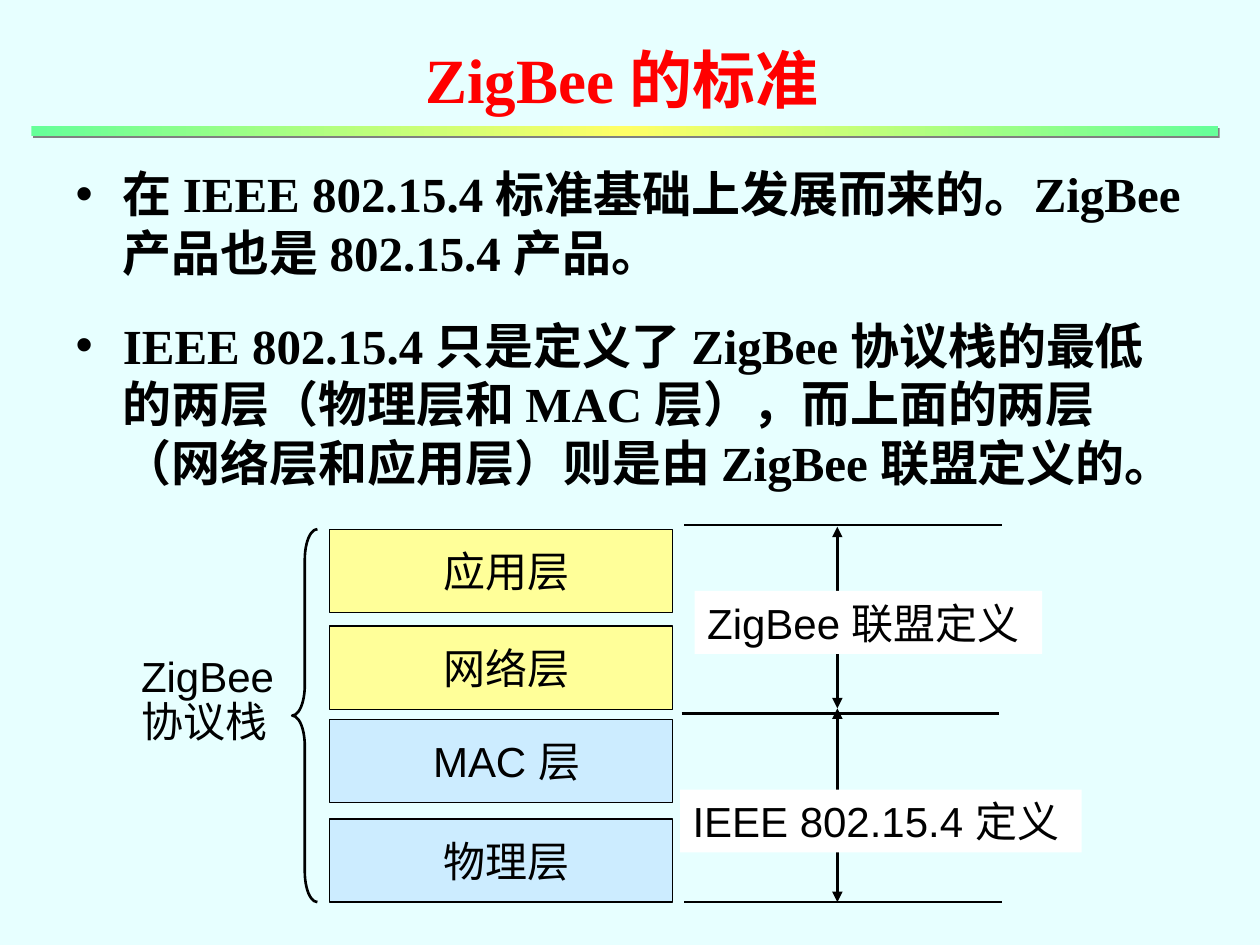
from lxml import etree
from pptx import Presentation
from pptx.dml.color import RGBColor
from pptx.enum.shapes import MSO_CONNECTOR, MSO_SHAPE
from pptx.enum.text import MSO_ANCHOR, MSO_AUTO_SIZE, PP_ALIGN
from pptx.oxml import parse_xml
from pptx.oxml.ns import nsdecls, qn
from pptx.util import Pt

LEFT, CENTER = PP_ALIGN.LEFT, PP_ALIGN.CENTER
MIDDLE, NO_AUTOFIT = MSO_ANCHOR.MIDDLE, MSO_AUTO_SIZE.NONE
RECTANGLE, LEFT_BRACE = MSO_SHAPE.RECTANGLE, MSO_SHAPE.LEFT_BRACE
STRAIGHT = MSO_CONNECTOR.STRAIGHT


def rgb(color):
    return RGBColor.from_string(color)


def write(frame, text, size=24, font="Arial", color="000000", bold=False,
          align=LEFT, spacing=None, gap=0, wrap=False):
    """Fill a text frame, one paragraph per line of text, gap points apart."""
    frame.word_wrap = wrap
    frame.auto_size = NO_AUTOFIT
    frame.text = text
    for number, paragraph in enumerate(frame.paragraphs):
        paragraph.alignment = align
        paragraph.line_spacing = spacing
        paragraph.space_before = Pt(gap if number else 0)
        for run in paragraph.runs:
            run.font.size = Pt(size)
            run.font.name = font
            run.font.bold = bold
            run.font.color.rgb = rgb(color)


prs = Presentation()
prs.slide_width, prs.slide_height = Pt(720), Pt(540)
slide = prs.slides.add_slide(prs.slide_layouts[1])
slide.background.fill.solid()
slide.background.fill.fore_color.rgb = rgb("E7FFFF")
shapes = slide.shapes

# Title and bullets
title, body = slide.placeholders
title.left, title.top, title.width, title.height = Pt(49.5), Pt(11.5), Pt(612), Pt(66)
write(title.text_frame, "ZigBee 的标准", size=36, font="Times New Roman",
      color="FF0000", bold=True, align=CENTER, wrap=True)
title.text_frame.vertical_anchor = MIDDLE

body.left, body.top, body.width, body.height = Pt(36), Pt(90), Pt(648), Pt(234)
write(body.text_frame,
      "在 IEEE 802.15.4 标准基础上发展而来的。ZigBee 产品也是 802.15.4 产品。\n"
      "IEEE 802.15.4 只是定义了 ZigBee 协议栈的最低的两层（物理层和 MAC 层），"
      "而上面的两层（网络层和应用层）则是由 ZigBee 联盟定义的。",
      size=28, font="Times New Roman", bold=True, gap=19.2, wrap=True)

# Gradient bar under the title
bar = shapes.add_shape(RECTANGLE, Pt(18), Pt(72), Pt(678), Pt(6))
bar.line.fill.background()
bar.fill.gradient()
bar.fill.gradient_angle = 0
for stop in bar.fill.gradient_stops:
    stop.color.rgb = rgb("66FF99")
stop_list = bar._element.spPr.find(qn("a:gradFill")).find(qn("a:gsLst"))
stop_list.insert(1, parse_xml(
    f'<a:gs {nsdecls("a")} pos="50000"><a:srgbClr val="FFFF66"/></a:gs>'))
bar._element.spPr.append(parse_xml(
    f'<a:effectLst {nsdecls("a")}><a:outerShdw dist="17780" dir="2700000">'
    '<a:srgbClr val="808080"/></a:outerShdw></a:effectLst>'))

# Protocol layers
layers = [("应用层", 302.4, "FFFF99"), ("网络层", 357.8, "FFFF99"),
          ("MAC 层", 411.2, "CCECFF"), ("物理层", 468, "CCECFF")]
for name, top, color in layers:
    layer = shapes.add_shape(RECTANGLE, Pt(188.5), Pt(top), Pt(196), Pt(47.5))
    layer.shadow.inherit = False
    layer.fill.solid()
    layer.fill.fore_color.rgb = rgb(color)
    layer.line.color.rgb = rgb("000000")
    layer.line.width = Pt(0.75)
    layer.text_frame.margin_left = Pt(13)
    layer.text_frame.vertical_anchor = MIDDLE
    write(layer.text_frame, name, align=CENTER, wrap=True)

# Boundaries and the spans between them: x1, y1, x2, y2, arrowheads
lines = [(391, 300, 572.5, 300, False), (389.5, 407.8, 571, 407.8, False),
         (391, 515.5, 572.5, 515.5, False),
         (478.5, 301, 478.5, 404.8, True), (478.5, 404.8, 478.5, 515.5, True)]
for x1, y1, x2, y2, arrowheads in lines:
    line = shapes.add_connector(STRAIGHT, Pt(x1), Pt(y1), Pt(x2), Pt(y2))
    line.line.color.rgb = rgb("000000")
    line.line.width = Pt(1.5)
    if arrowheads:
        for end in ("a:headEnd", "a:tailEnd"):
            etree.SubElement(line.line._ln, qn(end), type="triangle")
    etree.SubElement(line._element.spPr, qn("a:effectLst"))

definitions = [("ZigBee 联盟定义", 397, 337.7, 198.5),
               ("IEEE 802.15.4 定义", 388.7, 451.2, 229.5)]
for text, left, top, width in definitions:
    definition = shapes.add_textbox(Pt(left), Pt(top), Pt(width), Pt(36))
    definition.fill.solid()
    definition.fill.fore_color.rgb = rgb("FFFFFF")
    write(definition.text_frame, text)

# Brace and name of the whole stack
brace = shapes.add_shape(LEFT_BRACE, Pt(167), Pt(302.4), Pt(14.4), Pt(213.1))
brace.adjustments[0] = 1.2
brace.shadow.inherit = False
brace.fill.background()
brace.line.color.rgb = rgb("000000")
brace.line.width = Pt(1.5)

stack = shapes.add_textbox(Pt(73.5), Pt(371.5), Pt(90), Pt(59))
write(stack.text_frame, "ZigBee\n协议栈", spacing=0.9)

prs.save("out.pptx")
